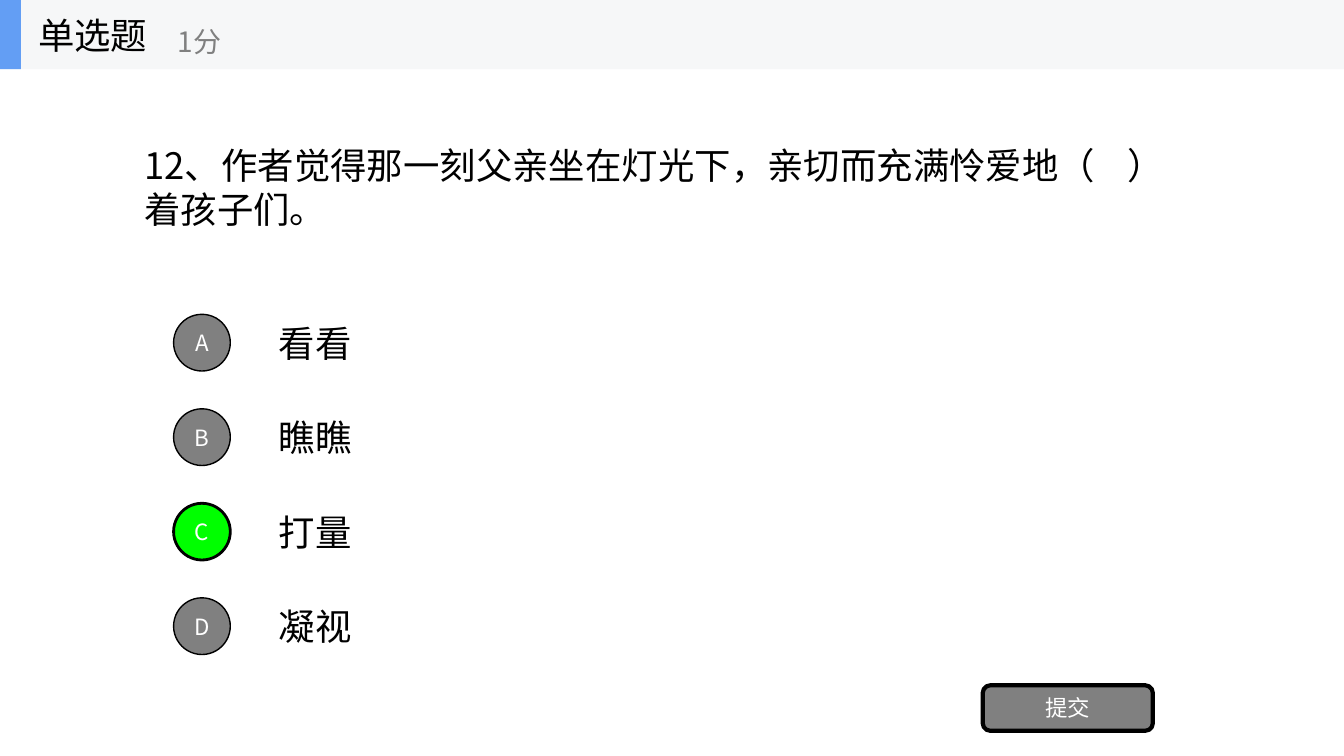
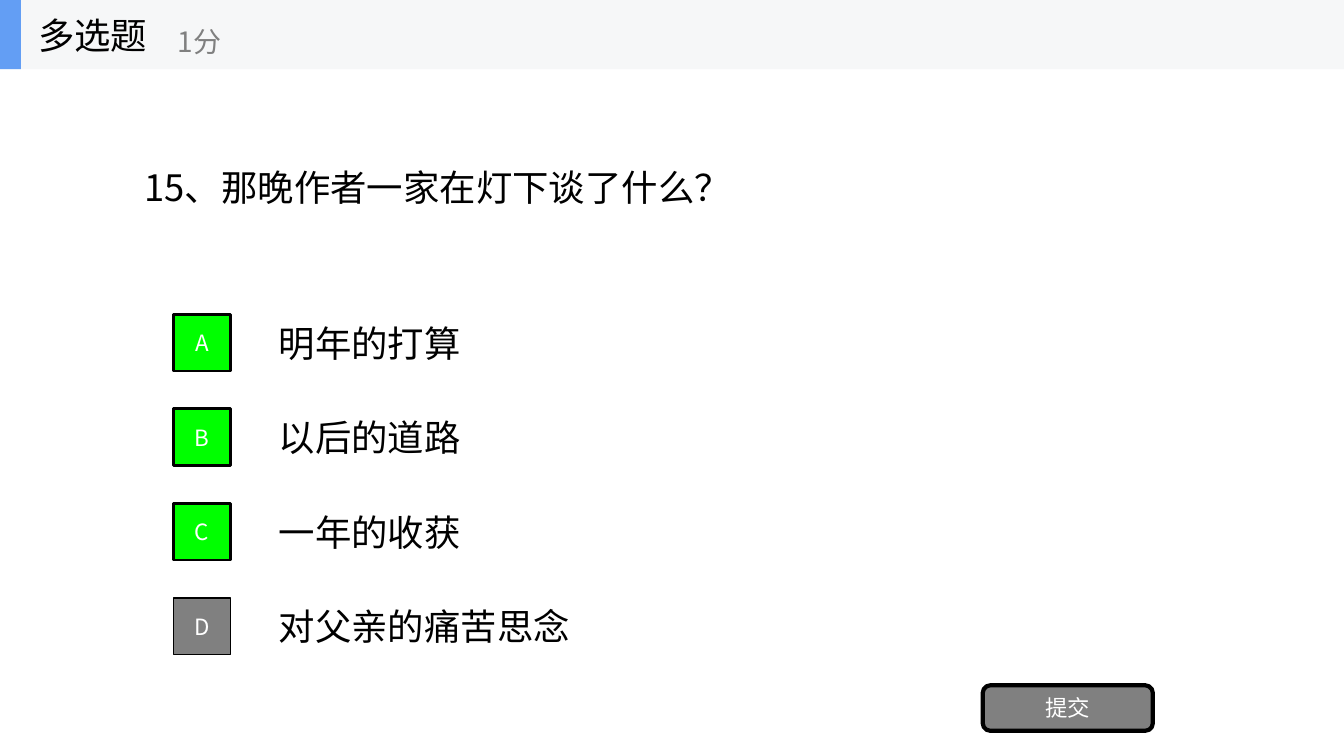
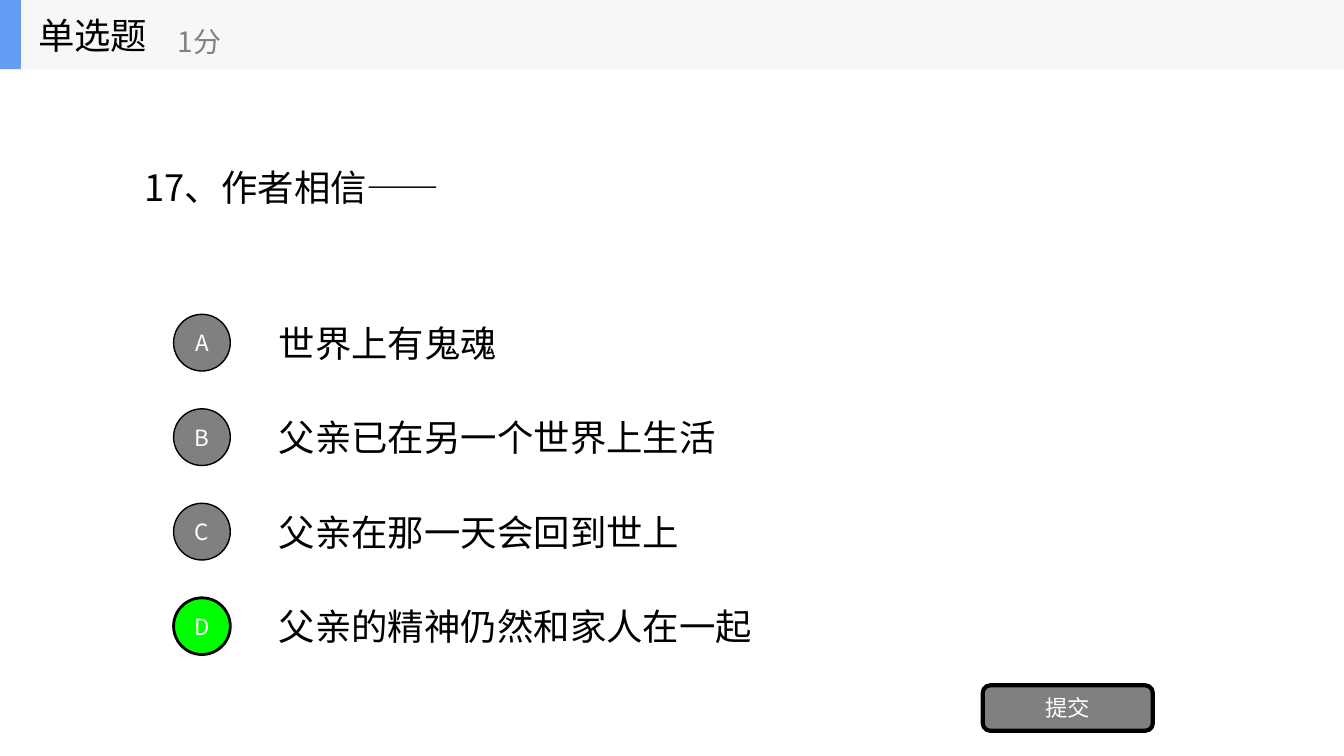
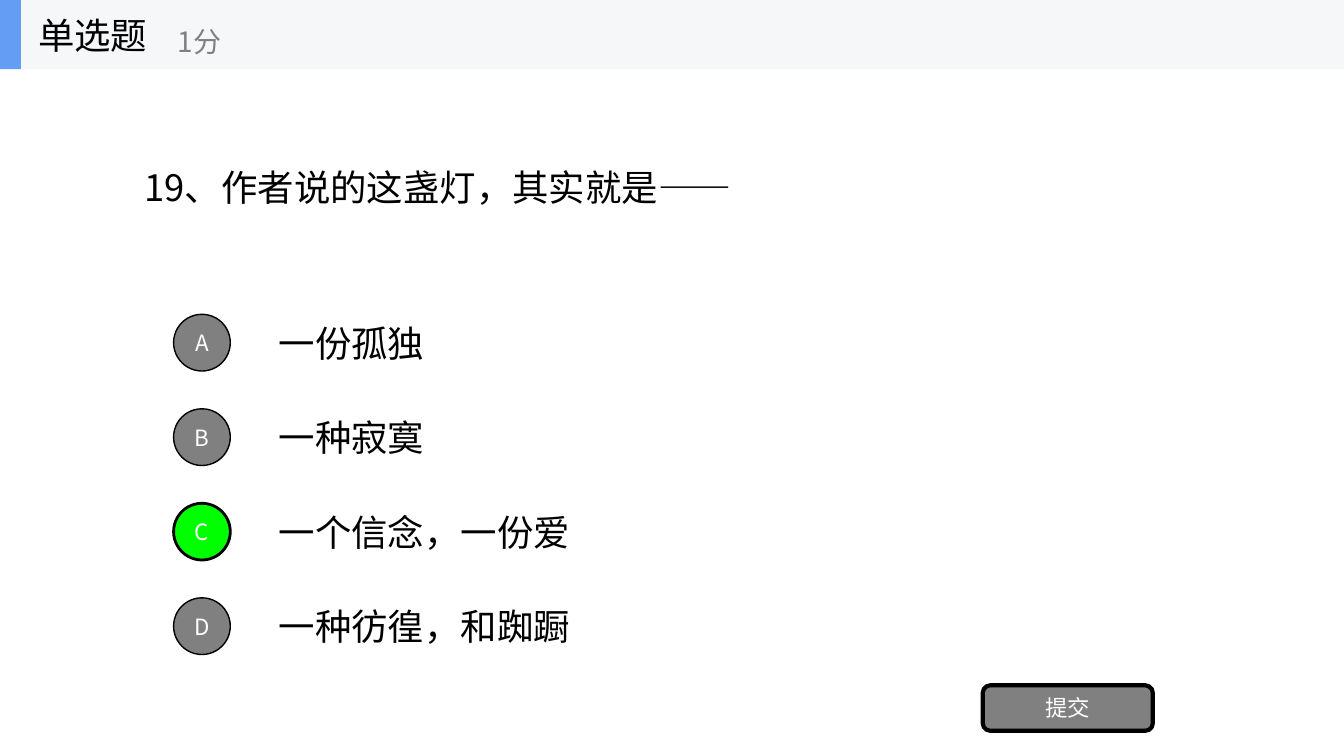
from pptx import Presentation
from pptx.dml.color import RGBColor
from pptx.enum.shapes import MSO_SHAPE
from pptx.enum.text import MSO_ANCHOR, MSO_AUTO_SIZE, PP_ALIGN
from pptx.oxml.ns import qn
from pptx.util import Emu, Pt
from lxml.etree import SubElement

# Shared look
SLIDE_W, SLIDE_H = 1920, 1080
FONT = "Noto Sans CJK SC"
BLACK, WHITE, GREY = "000000", "FFFFFF", "808080"
BAND, ACCENT, CORRECT = "F6F7F8", "639EF4", "00FF00"
BAND_H = 99
TEXT_SIZE, POINTS_SIZE, LABEL_SIZE = 26, 20, 16

# Option rows
OPTION_TOP, OPTION_PITCH, OPTION_H = 439, 135, 101
MARKER_SIZE = 81

SINGLE, MULTIPLE = "单选题", "多选题"
MARKER_SHAPES = {SINGLE: MSO_SHAPE.OVAL, MULTIPLE: MSO_SHAPE.RECTANGLE}

# Kind of question, question, options, letters of the correct options
QUESTIONS = [
    (SINGLE, "12、作者觉得那一刻父亲坐在灯光下，亲切而充满怜爱地（    ）着孩子们。",
     ["看看", "瞧瞧", "打量", "凝视"], "C"),
    (MULTIPLE, "15、那晚作者一家在灯下谈了什么？",
     ["明年的打算", "以后的道路", "一年的收获", "对父亲的痛苦思念"], "ABC"),
    (SINGLE, "17、作者相信——",
     ["世界上有鬼魂", "父亲已在另一个世界上生活", "父亲在那一天会回到世上",
      "父亲的精神仍然和家人在一起"], "D"),
    (SINGLE, "19、作者说的这盏灯，其实就是——",
     ["一份孤独", "一种寂寞", "一个信念，一份爱", "一种彷徨，和踟蹰"], "C"),
]


def px(length):
    return Emu(length * 6350)


def color(hex_value):
    return RGBColor.from_string(hex_value)


def write(shape, text, size, ink, align=PP_ALIGN.LEFT, wrap=True):
    frame = shape.text_frame
    frame.text = text
    frame.word_wrap = wrap
    frame.auto_size = MSO_AUTO_SIZE.NONE
    frame.vertical_anchor = MSO_ANCHOR.MIDDLE
    paragraph = frame.paragraphs[0]
    paragraph.alignment = align
    for run in paragraph.runs:
        run.font.size = Pt(size)
        run.font.color.rgb = color(ink)
        run.font.name = FONT
        # Chinese characters take the East Asian typeface
        SubElement(run.font._element, qn("a:ea"), typeface=FONT)


def add_text(slide, box, text, size=TEXT_SIZE, ink=BLACK, wrap=True):
    write(slide.shapes.add_textbox(*map(px, box)), text, size, ink, wrap=wrap)


def add_block(slide, kind, box, fill, line_width=0, label=""):
    block = slide.shapes.add_shape(kind, *map(px, box))
    block.shadow.inherit = False
    block.fill.solid()
    block.fill.fore_color.rgb = color(fill)
    if line_width:
        block.line.color.rgb = color(BLACK)
        block.line.width = Pt(line_width)
    else:
        block.line.fill.background()
    if label:
        write(block, label, LABEL_SIZE, WHITE, PP_ALIGN.CENTER)


def add_header(slide, kind):
    add_block(slide, MSO_SHAPE.RECTANGLE, (0, 0, SLIDE_W, BAND_H), BAND)
    add_block(slide, MSO_SHAPE.RECTANGLE, (0, 0, 30, BAND_H), ACCENT)
    title = slide.shapes.title
    title.left, title.top, title.width, title.height = map(px, (40, 0, 300, BAND_H))
    write(title, kind, TEXT_SIZE, BLACK, wrap=False)
    # Bring the title in front of the band
    slide.shapes.element.append(title.element)
    add_text(slide, (240, 18, 360, 81), "1分", POINTS_SIZE, GREY, wrap=False)


def add_options(slide, kind, options, correct):
    for row, (letter, option) in enumerate(zip("ABCD", options)):
        top = OPTION_TOP + row * OPTION_PITCH
        add_text(slide, (384, top, 1344, OPTION_H), option)
        fill, line_width = (CORRECT, 2) if letter in correct else (GREY, 1)
        marker_box = (248, top + (OPTION_H - MARKER_SIZE) // 2, MARKER_SIZE, MARKER_SIZE)
        add_block(slide, MARKER_SHAPES[kind], marker_box, fill, line_width, letter)


def add_question_slide(deck, kind, question, options, correct):
    slide = deck.slides.add_slide(deck.slide_layouts.get_by_name("Title Only"))
    add_header(slide, kind)
    add_text(slide, (192, BAND_H, 1536, 337), question)
    add_options(slide, kind, options, correct)
    # Submit button
    add_block(slide, MSO_SHAPE.ROUNDED_RECTANGLE, (1404, 979, 243, 65), GREY, 3, "提交")


def main():
    deck = Presentation()
    deck.slide_width, deck.slide_height = px(SLIDE_W), px(SLIDE_H)
    for question in QUESTIONS:
        add_question_slide(deck, *question)
    deck.save("out.pptx")


if __name__ == "__main__":
    main()
